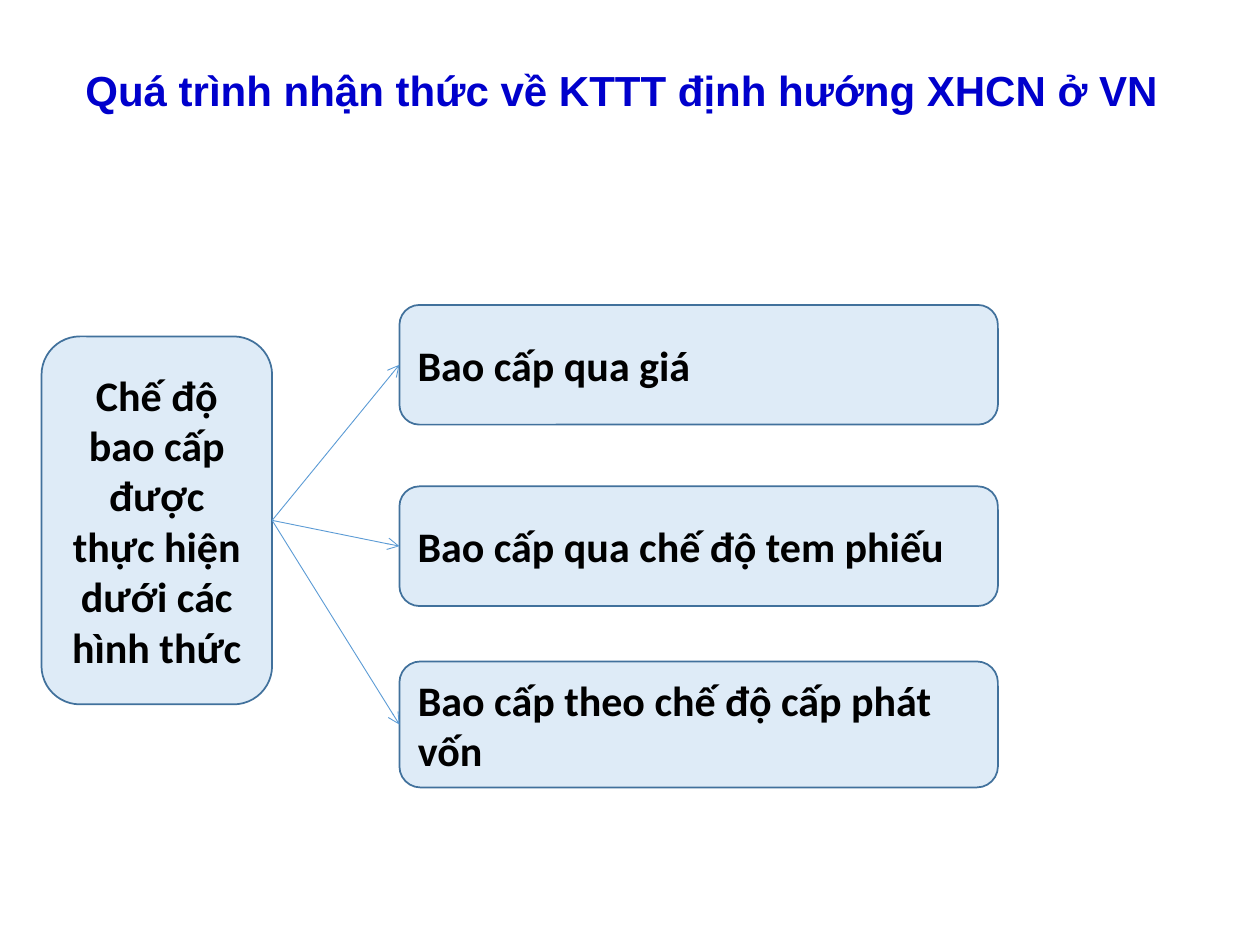
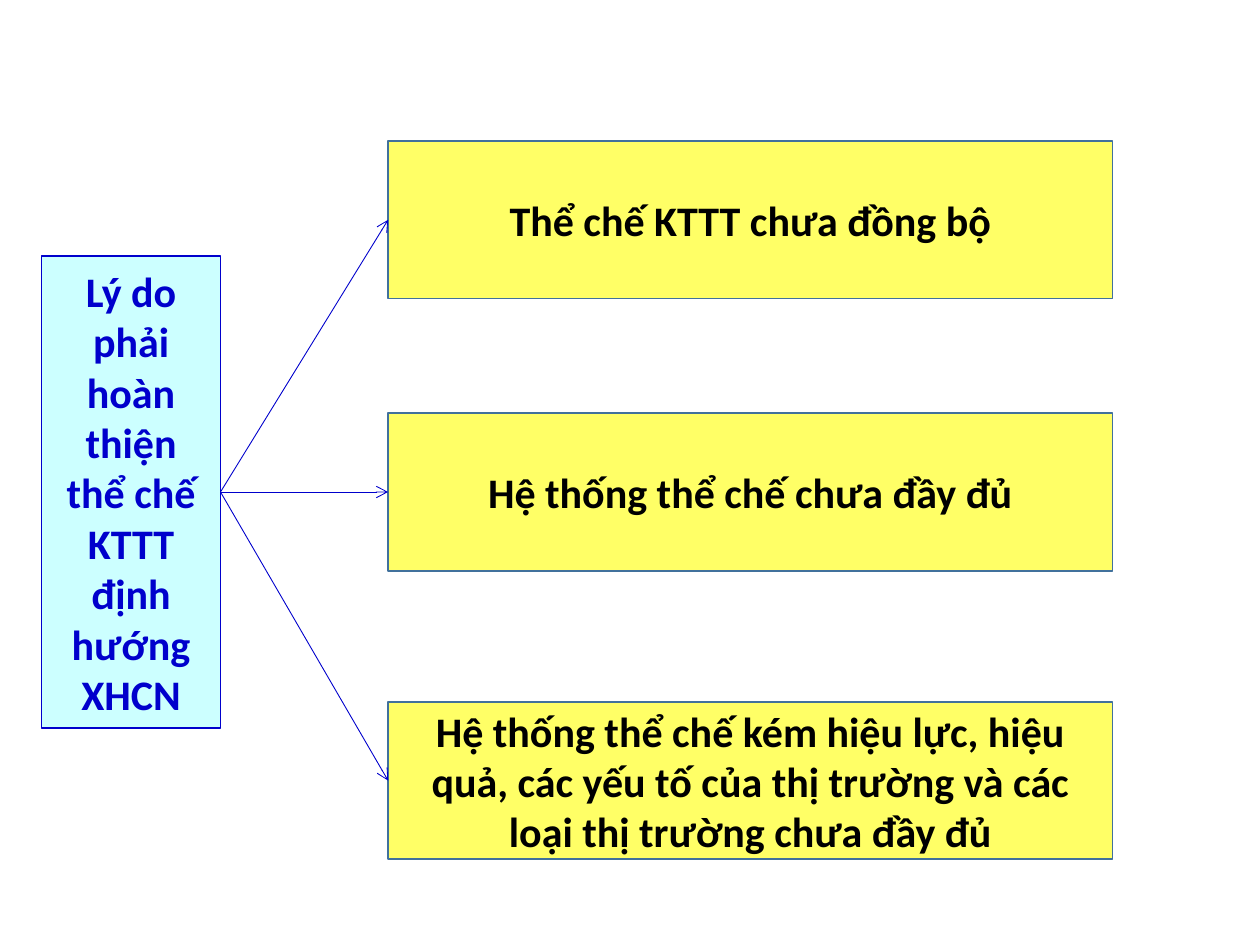
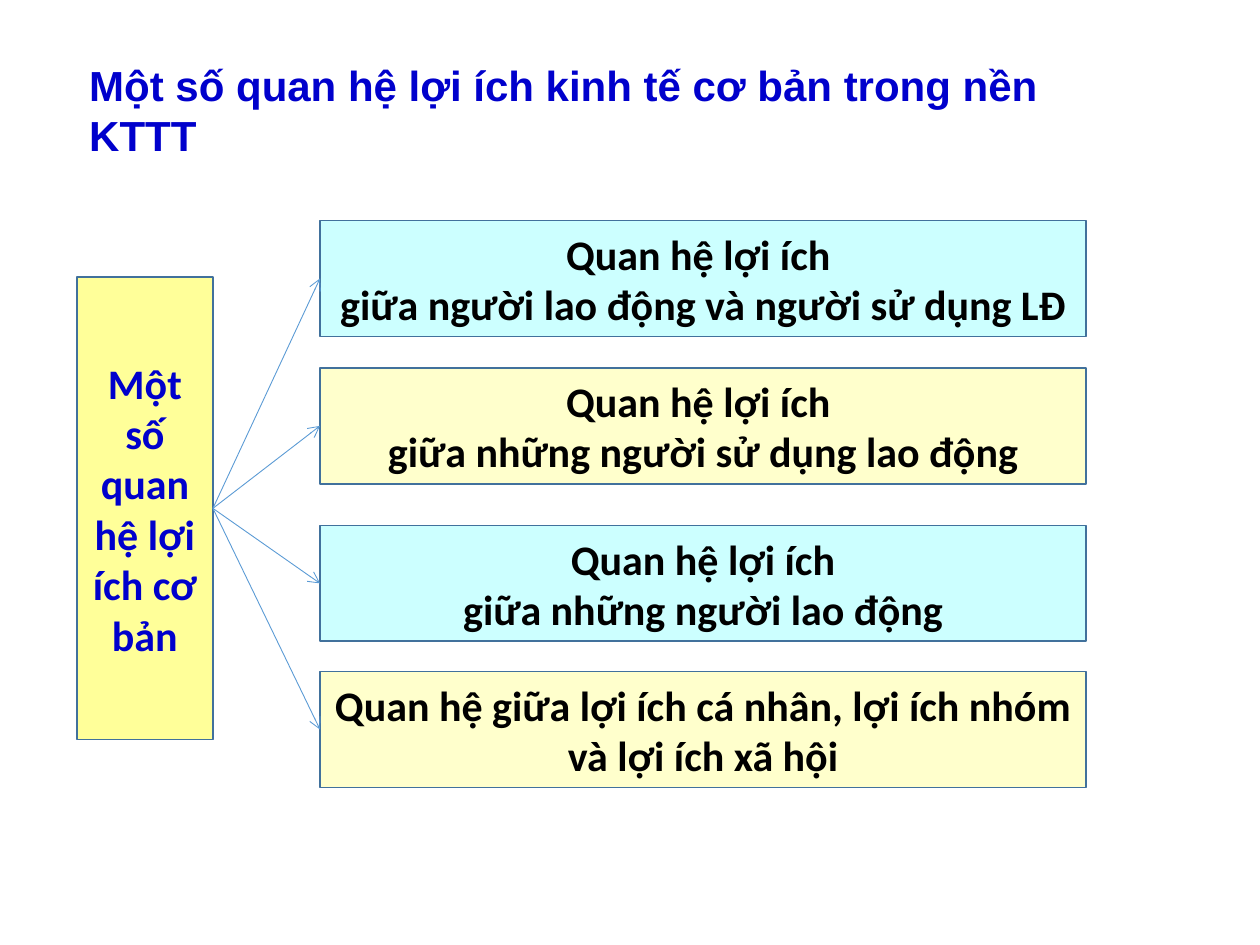
from itertools import cycle

from lxml import etree
from pptx import Presentation
from pptx import util as u
from pptx.dml.color import RGBColor
from pptx.enum import shapes, text
from pptx.oxml import ns

# Shared colours and fonts
BLACK = RGBColor(0x00, 0x00, 0x00)
BLUE = RGBColor(0x00, 0x00, 0xCC)
STEEL = RGBColor(0x41, 0x71, 0x9C)
SKY = RGBColor(0x5B, 0x9B, 0xD5)
PALE_BLUE = RGBColor(0xDE, 0xEB, 0xF7)
CYAN = RGBColor(0xCC, 0xFF, 0xFF)
YELLOW = RGBColor(0xFF, 0xFF, 0x66)
SOFT_YELLOW = RGBColor(0xFF, 0xFF, 0x99)
CREAM = RGBColor(0xFF, 0xFF, 0xCC)

TITLE_FONT = "Arial"
BODY_FONT = "Calibri"
TEXT_SIZE = u.Pt(24)

LEFT = text.PP_ALIGN.LEFT
CENTER = text.PP_ALIGN.CENTER
JUSTIFY = text.PP_ALIGN.JUSTIFY
RECTANGLE = shapes.MSO_SHAPE.RECTANGLE
ROUNDED = shapes.MSO_SHAPE.ROUNDED_RECTANGLE
LEFT_SIDE, RIGHT_SIDE = 1, 3


def write(frame, wording, font=BODY_FONT, color=BLACK, align=CENTER,
          anchor=text.MSO_ANCHOR.MIDDLE):
    """Fill a text frame, one paragraph for each line of wording."""
    frame.word_wrap = True
    frame.vertical_anchor = anchor
    for index, line in enumerate(wording.split("\n")):
        para = frame.paragraphs[0] if index == 0 else frame.add_paragraph()
        para.alignment = align
        span = para.add_run()
        span.text = line
        span.font.name = font
        span.font.size = TEXT_SIZE
        span.font.bold = True
        span.font.color.rgb = color


def add_title(page, wording, place, align=LEFT):
    box = page.shapes.add_textbox(*map(u.Inches, place))
    write(box.text_frame, wording, font=TITLE_FONT, color=BLUE, align=align,
          anchor=text.MSO_ANCHOR.TOP)
    box.text_frame.auto_size = text.MSO_AUTO_SIZE.SHAPE_TO_FIT_TEXT


def add_box(page, wording, place, fill, kind=RECTANGLE, line=STEEL, **style):
    box = page.shapes.add_shape(kind, *map(u.Inches, place))
    box.shadow.inherit = False
    box.fill.solid()
    box.fill.fore_color.rgb = fill
    box.line.color.rgb = line
    box.line.width = u.Pt(1)
    write(box.text_frame, wording, **style)
    return box


def add_arrow(page, start, end, color):
    """Join the right side of one box to the left side of another."""
    arrow = page.shapes.add_connector(shapes.MSO_CONNECTOR.STRAIGHT, 0, 0, 0, 0)
    arrow.begin_connect(start, RIGHT_SIDE)
    arrow.end_connect(end, LEFT_SIDE)
    arrow.line.color.rgb = color
    arrow.line.width = u.Pt(0.5)
    etree.SubElement(arrow.line._get_or_add_ln(), ns.qn("a:tailEnd"), type="arrow")
    etree.SubElement(arrow._element.spPr, ns.qn("a:effectLst"))


def add_branches(page, root, branches, left, width, fills, arrow_color=SKY, **style):
    """Stack boxes given as (top, height, wording) and point to each from the root."""
    boxes = [add_box(page, wording, (left, top, width, height), fill, **style)
             for (top, height, wording), fill in zip(branches, cycle(fills))]
    for box in boxes:
        add_arrow(page, root, box, arrow_color)


def subsidy_forms(page):
    add_title(page, "Quá trình nhận thức về KTTT định hướng XHCN ở VN",
              (0.58, 0.46, 9.25, 0.5), align=JUSTIFY)
    root = add_box(page, "Chế độ bao cấp được thực hiện dưới các hình thức",
                   (0.33, 2.67, 1.83, 2.92), PALE_BLUE, kind=ROUNDED)
    forms = [
        (2.42, 0.95, "Bao cấp qua giá"),
        (3.86, 0.95, "Bao cấp qua chế độ tem phiếu"),
        (5.25, 1, "Bao cấp theo chế độ cấp phát vốn"),
    ]
    add_branches(page, root, forms, 3.17, 4.75, [PALE_BLUE], kind=ROUNDED, align=LEFT)


def reform_reasons(page):
    root = add_box(page, "Lý do phải hoàn thiện thể chế KTTT định hướng XHCN",
                   (0.33, 2.03, 1.42, 3.75), CYAN, line=BLUE, color=BLUE)
    reasons = [
        (1.12, 1.25, "Thể chế KTTT chưa đồng bộ"),
        (3.28, 1.25, "Hệ thống thể chế chưa đầy đủ"),
        (5.57, 1.25, "Hệ thống thể chế kém hiệu lực, hiệu quả, các yếu tố của "
                     "thị trường và các loại thị trường chưa đầy đủ"),
    ]
    add_branches(page, root, reasons, 3.08, 5.75, [YELLOW], arrow_color=BLUE)


def interest_relations(page):
    add_title(page, "Một số quan hệ lợi ích kinh tế cơ bản trong nền KTTT",
              (0.61, 0.42, 8.67, 0.9))
    root = add_box(page, "Một số quan hệ lợi ích cơ bản",
                   (0.61, 2.2, 1.08, 3.67), SOFT_YELLOW, color=BLUE)
    relations = [
        (1.75, 0.92, "Quan hệ lợi ích \ngiữa người lao động và người sử dụng LĐ"),
        (2.92, 0.92, "Quan hệ lợi ích \ngiữa những người sử dụng lao động"),
        (4.17, 0.92, "Quan hệ lợi ích\ngiữa những người lao động"),
        (5.33, 0.92, "Quan hệ giữa lợi ích cá nhân, lợi ích nhóm và lợi ích xã hội"),
    ]
    add_branches(page, root, relations, 2.54, 6.08, [CYAN, CREAM])


def main():
    deck = Presentation()
    deck.slide_width = u.Inches(10)
    deck.slide_height = u.Inches(7.5)
    blank = deck.slide_layouts[6]
    for build in (subsidy_forms, reform_reasons, interest_relations):
        build(deck.slides.add_slide(blank))
    deck.save("out.pptx")


if __name__ == "__main__":
    main()
